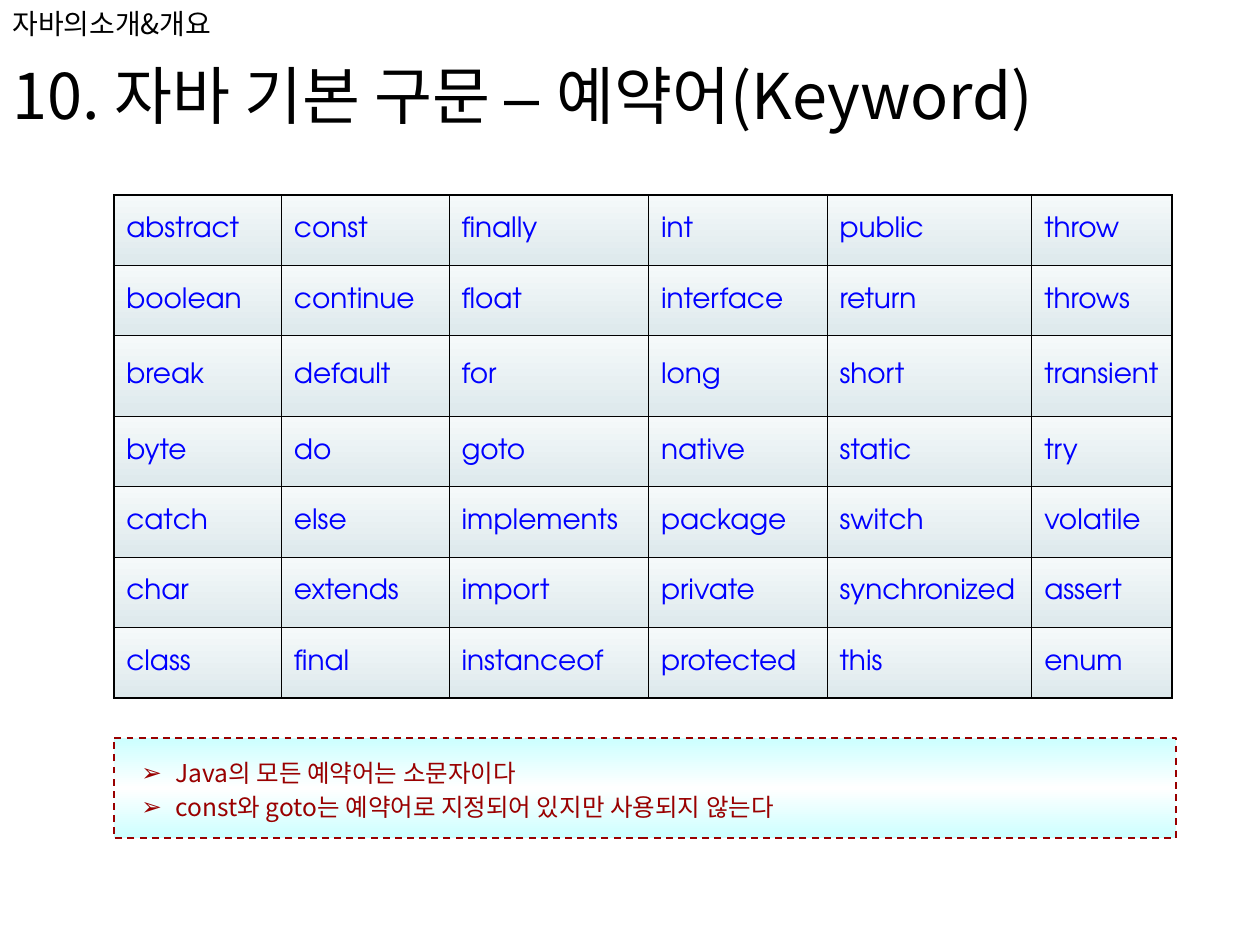
from dataclasses import dataclass

from lxml import etree
from pptx import Presentation
from pptx.dml.color import RGBColor
from pptx.enum.dml import MSO_LINE
from pptx.enum.text import MSO_ANCHOR, MSO_AUTO_SIZE, PP_ALIGN
from pptx.oxml.ns import qn
from pptx.util import Pt

DASH = MSO_LINE.DASH
TOP = MSO_ANCHOR.TOP
MIDDLE = MSO_ANCHOR.MIDDLE
FIT_SHAPE = MSO_AUTO_SIZE.SHAPE_TO_FIT_TEXT
LEFT = PP_ALIGN.LEFT


@dataclass(frozen=True)
class Theme:
    korean: str = "Noto Sans CJK KR"
    latin: str = "Arial"
    code: str = "TeX Gyre Adventor"
    ink: str = "000000"
    keyword: str = "0000FF"
    note: str = "990000"
    cell_gradient: tuple = ((0, "F5F9FA"), (100, "DDE9EC"))
    note_gradient: tuple = ((0, "CCFFFF"), (50, "FFFFFF"), (100, "CCFFFF"))
    title_size: float = 36
    chapter_size: float = 16
    keyword_size: float = 16
    note_size: float = 14
    outer_line: float = 1.08
    inner_line: float = 0.45


THEME = Theme()

KEYWORDS = (
    "abstract const finally int public throw",
    "boolean continue float interface return throws",
    "break default for long short transient",
    "byte do goto native static try",
    "catch else implements package switch volatile",
    "char extends import private synchronized assert",
    "class final instanceof protected this enum",
)
COLUMN_WIDTHS = (95.8, 95.8, 114, 102, 117, 80.2)
ROW_HEIGHTS = (40.2, 40.2, 46.1, 40.2, 40.2, 40.2, 40.2)
NOTES = (
    "Java의 모든 예약어는 소문자이다",
    "const와 goto는 예약어로 지정되어 있지만 사용되지 않는다",
)


def add_run(paragraph, text, face, size, color):
    run = paragraph.add_run()
    run.text = text
    run.font.size = Pt(size)
    run.font.color.rgb = RGBColor.from_string(color)
    run.font.name = face
    etree.SubElement(run.font._element, qn("a:ea"), typeface=face)


def add_color(parent, color):
    etree.SubElement(parent, qn("a:srgbClr"), val=color)


def fill_downward(fill, owner, stops):
    fill.gradient()
    fill.gradient_angle = 270
    stop_list = owner.find(".//" + qn("a:gsLst"))
    for stop in list(stop_list):
        stop_list.remove(stop)
    for percent, color in stops:
        add_color(etree.SubElement(stop_list, qn("a:gs"), pos=str(percent * 1000)), color)


def place(shape, box):
    shape.left, shape.top, shape.width, shape.height = (Pt(length) for length in box)


def set_frame(frame, margin_x=7.2, margin_y=3.6):
    frame.word_wrap = True
    frame.auto_size = FIT_SHAPE
    frame.vertical_anchor = TOP
    frame.margin_left = frame.margin_right = Pt(margin_x)
    frame.margin_top = frame.margin_bottom = Pt(margin_y)


def build_title(slide, box):
    title = slide.shapes.title
    place(title, box)
    set_frame(title.text_frame)
    heading = title.text_frame.paragraphs[0]
    heading.alignment = LEFT
    for text, face in (
        ("10. 자바 기본 구문 ", THEME.korean),
        ("– ", THEME.latin),
        ("예약어(Keyword)", THEME.korean),
    ):
        add_run(heading, text, face, THEME.title_size, THEME.ink)


def build_chapter(slide, box):
    chapter = slide.shapes.add_textbox(*(Pt(length) for length in box))
    set_frame(chapter.text_frame)
    add_run(chapter.text_frame.paragraphs[0], "자바의소개&개요",
            THEME.korean, THEME.chapter_size, THEME.ink)


def add_borders(cell, outer_sides):
    properties = cell._tc.get_or_add_tcPr()
    for side in "LRTB":
        width = THEME.outer_line if side in outer_sides else THEME.inner_line
        line = etree.SubElement(properties, qn("a:ln" + side), w=str(Pt(width)))
        add_color(etree.SubElement(line, qn("a:solidFill")), THEME.ink)


def build_keyword_table(slide, box):
    rows, columns = len(ROW_HEIGHTS), len(COLUMN_WIDTHS)
    table = slide.shapes.add_table(rows, columns, *(Pt(length) for length in box)).table
    table.first_row = table.horz_banding = False
    for column, width in zip(table.columns, COLUMN_WIDTHS):
        column.width = Pt(width)
    for row, height in zip(table.rows, ROW_HEIGHTS):
        row.height = Pt(height)
    for r, words in enumerate(KEYWORDS):
        for c, word in enumerate(words.split()):
            cell = table.cell(r, c)
            edges = {"L": c == 0, "R": c == columns - 1, "T": r == 0, "B": r == rows - 1}
            add_borders(cell, [side for side, outer in edges.items() if outer])
            fill_downward(cell.fill, cell._tc, THEME.cell_gradient)
            cell.vertical_anchor = MIDDLE
            add_run(cell.text_frame.paragraphs[0], word,
                    THEME.code, THEME.keyword_size, THEME.keyword)


def add_bullet(paragraph, indent):
    properties = paragraph._p.get_or_add_pPr()
    properties.set("marL", str(Pt(indent)))
    properties.set("indent", str(-Pt(indent)))
    add_color(etree.SubElement(properties, qn("a:buClr")), THEME.note)
    etree.SubElement(properties, qn("a:buChar"), char="➢")


def build_notes(slide, box):
    notes = slide.placeholders[1]
    place(notes, box)
    fill_downward(notes.fill, notes._element, THEME.note_gradient)
    notes.line.color.rgb = RGBColor.from_string(THEME.note)
    notes.line.width = Pt(1)
    notes.line.dash_style = DASH
    frame = notes.text_frame
    set_frame(frame, 15.8, 9.4)
    for index, note in enumerate(NOTES):
        paragraph = frame.add_paragraph() if index else frame.paragraphs[0]
        add_bullet(paragraph, 19.5)
        paragraph.alignment = LEFT
        paragraph.line_spacing = 1.15
        paragraph.space_before = Pt(0)
        add_run(paragraph, note, THEME.korean, THEME.note_size, THEME.note)


def main():
    presentation = Presentation()
    presentation.slide_width, presentation.slide_height = Pt(720), Pt(540)
    slide = presentation.slides.add_slide(presentation.slide_layouts[1])
    build_title(slide, (0, 28.8, 708.5, 50.4))
    build_chapter(slide, (0, 0, 229.7, 26.6))
    build_keyword_table(slide, (65, 111.5, sum(COLUMN_WIDTHS), sum(ROW_HEIGHTS)))
    build_notes(slide, (65, 421.5, 607, 57.6))
    presentation.save("out.pptx")


if __name__ == "__main__":
    main()
